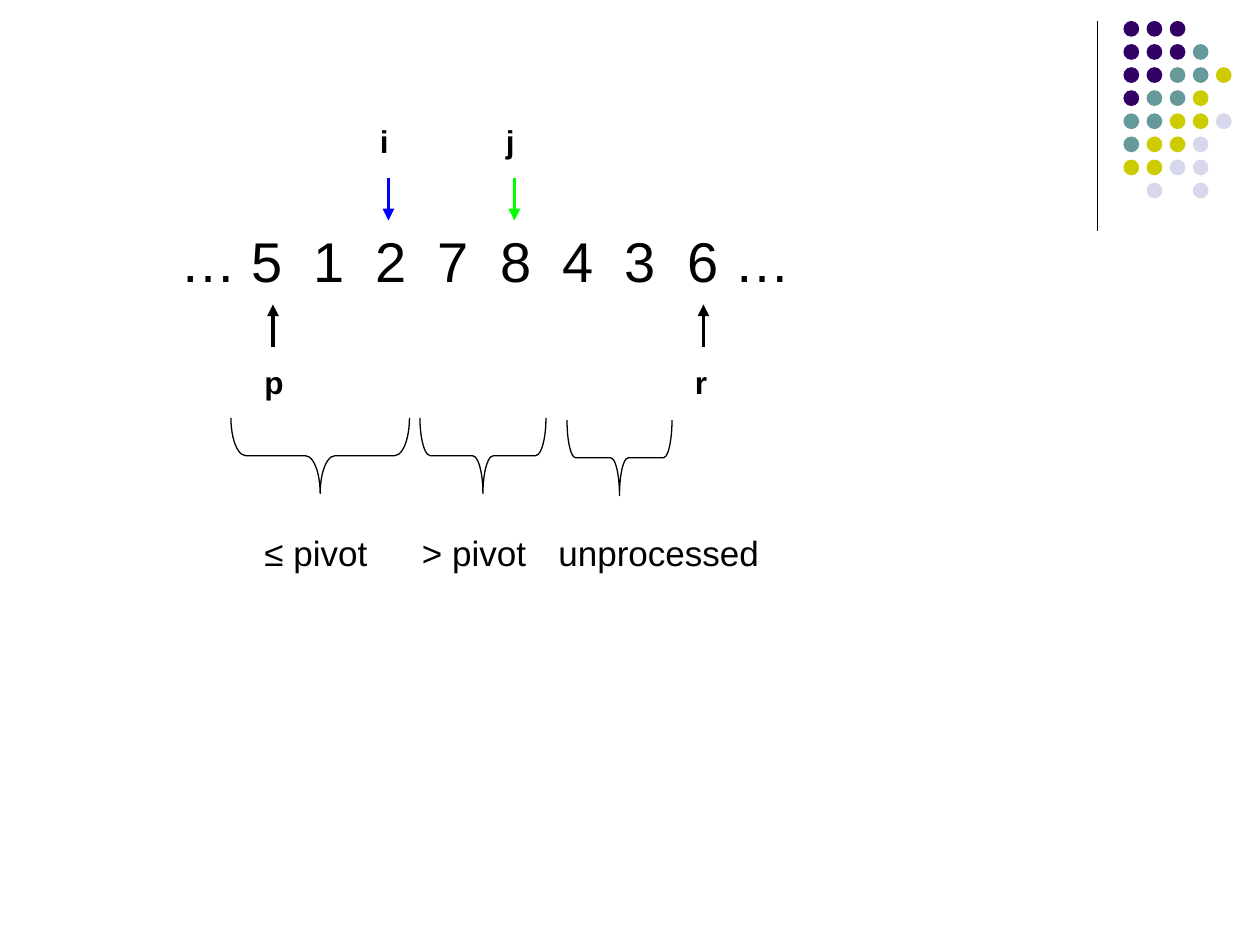
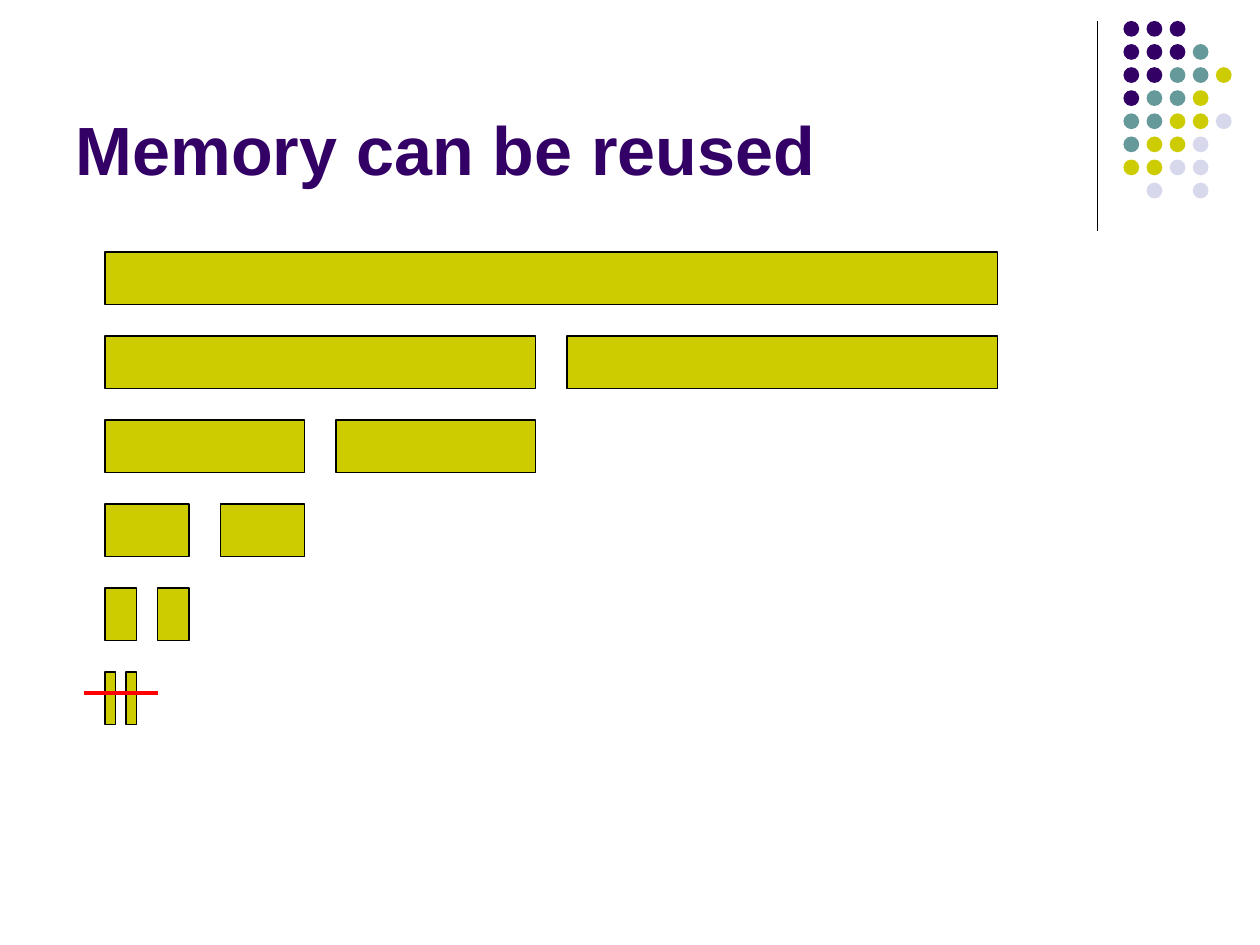
from dataclasses import dataclass

from lxml import etree
from pptx import Presentation
from pptx.dml.color import RGBColor
from pptx.enum import shapes, text
from pptx.oxml import ns
from pptx.util import Emu, Pt

PX = 7620


@dataclass(frozen=True)
class Theme:
    font: str = "Arial"
    black: str = "000000"
    purple: str = "330066"
    teal: str = "669999"
    olive: str = "CCCC00"
    lilac: str = "D8D8EC"
    blue: str = "0000FF"
    green: str = "00FF00"
    red: str = "FF0000"
    title_size: int = 39
    array_size: int = 32
    label_size: int = 20
    pointer_size: int = 18
    thin: float = 0.75
    thick: float = 2.25


def px(*lengths):
    return [Emu(length * PX) for length in lengths]


def apply(target, **formats):
    for name, value in formats.items():
        setattr(target, name, value)


class Sketch:
    def __init__(self, deck, theme):
        self.deck, self.theme, self.page = deck, theme, None

    def new_page(self, layout):
        self.page = self.deck.slides.add_slide(self.deck.slide_layouts[layout])

    def style_text(self, span, size, color, bold):
        apply(span.font, name=self.theme.font, size=Pt(size), bold=bold)
        span.font.color.rgb = RGBColor.from_string(color)

    def title(self, words, left, top, width, height):
        box = self.page.shapes.title
        left, top, width, height = px(left, top, width, height)
        apply(box, left=left, top=top, width=width, height=height)
        apply(box.text_frame, vertical_anchor=text.MSO_ANCHOR.BOTTOM,
              auto_size=text.MSO_AUTO_SIZE.NONE, word_wrap=True)
        para = box.text_frame.paragraphs[0]
        para.alignment = text.PP_ALIGN.LEFT
        span = para.add_run()
        span.text = words
        self.style_text(span, self.theme.title_size, self.theme.purple, True)

    def label(self, words, left, top, width, height, size, bold=False, tabs=()):
        box = self.page.shapes.add_textbox(*px(left, top, width, height))
        apply(box.text_frame, word_wrap=True,
              auto_size=text.MSO_AUTO_SIZE.SHAPE_TO_FIT_TEXT)
        para = box.text_frame.paragraphs[0]
        if tabs:
            properties = para._p.get_or_add_pPr()
            stops = etree.SubElement(properties, ns.qn("a:tabLst"))
            for stop in tabs:
                etree.SubElement(stops, ns.qn("a:tab"), pos=str(stop * PX), algn="l")
        span = para.add_run()
        span.text = words
        self.style_text(span, size, self.theme.black, bold)

    def shape(self, kind, left, top, width, height, fill=None, line=None):
        shape = self.page.shapes.add_shape(kind, *px(left, top, width, height))
        shape.shadow.inherit = False
        if fill:
            shape.fill.solid()
            shape.fill.fore_color.rgb = RGBColor.from_string(fill)
        else:
            shape.fill.background()
        if line:
            shape.line.color.rgb = RGBColor.from_string(line)
            shape.line.width = Pt(self.theme.thin)
        else:
            shape.line.fill.background()
        return shape

    def line(self, start, end, color, weight, arrow=False):
        line = self.page.shapes.add_connector(
            shapes.MSO_CONNECTOR.STRAIGHT, *px(*start, *end))
        line.line.color.rgb = RGBColor.from_string(color)
        line.line.width = Pt(weight)
        properties = line.element.spPr
        if arrow:
            outline = properties.find(ns.qn("a:ln"))
            etree.SubElement(outline, ns.qn("a:tailEnd"), type="triangle")
        etree.SubElement(properties, ns.qn("a:effectLst"))
        return line

    def brace(self, left, top, length, depth=72):
        middle, center = left + length // 2, top + depth // 2
        brace = self.shape(shapes.MSO_SHAPE.LEFT_BRACE, middle - depth // 2,
                           center - length // 2, depth, length, line=self.theme.black)
        brace.rotation = 270
        brace.adjustments[0] = length / 12 / depth

    def pointer(self, name, x, label_top, start, end, color):
        self.line((x, start), (x, end), color, self.theme.thick, arrow=True)
        self.label(name, x - 20, label_top, 50, 48, self.theme.pointer_size, bold=True)

    def decorate_master(self):
        theme = self.theme
        colors = {"P": theme.purple, "T": theme.teal, "O": theme.olive, "L": theme.lilac}
        rows = ("PPP", "PPPT", "PPTTO", "PTTO", "TTOOL", "TOOL", "OOLL", " L L")
        decorations = [self.line((1045, 20), (1045, 220), theme.black, theme.thin)]
        for row, codes in enumerate(rows):
            for column, code in enumerate(codes):
                if code in colors:
                    decorations.append(self.shape(
                        shapes.MSO_SHAPE.OVAL, 1070 + 22 * column, 20 + 22 * row,
                        15, 15, fill=colors[code]))
        tree = self.deck.slide_master.shapes.element
        for number, decoration in enumerate(decorations, 100):
            decoration.element.xpath(".//p:cNvPr")[0].set("id", str(number))
            tree.append(decoration.element)


def partition_page(sketch):
    theme = sketch.theme
    sketch.pointer("i", 370, 110, 170, 210, theme.blue)
    sketch.pointer("j", 490, 110, 170, 210, theme.green)
    sketch.label("… 5\t1\t2\t7\t8\t4\t3\t6 …", 160, 210, 620, 77, theme.array_size,
                 tabs=[68 + 593 * step // 10 for step in range(1, 8)])
    for name, x in (("p", 260), ("r", 670)):
        sketch.pointer(name, x, 340, 330, 290, theme.black)
    for left, top, length in ((220, 398, 170), (400, 398, 120), (540, 400, 100)):
        sketch.brace(left, top, length)
    for words, left, width in (("≤ pivot", 240, 140), ("> pivot", 390, 140),
                               ("unprocessed", 520, 240)):
        sketch.label(words, left, 500, width, 53, theme.label_size)


def memory_page(sketch):
    theme = sketch.theme
    sketch.title("Memory can be reused", 60, 16, 990, 170)
    left, top, width, height = 100, 240, 850, 50

    def block(x, y):
        sketch.shape(shapes.MSO_SHAPE.RECTANGLE, x, y, width, height,
                     fill=theme.olive, line=theme.black)

    block(left, top)
    for gap in (30, 30, 30, 20, 10):
        top += 80
        width = (width - gap) // 2
        block(left, top)
        block(left + width + gap, top)
    sketch.line((80, top + 20), (150, top + 20), theme.red, theme.thick)


def main():
    deck = Presentation()
    deck.slide_width, deck.slide_height = px(1200, 900)
    sketch = Sketch(deck, Theme())
    sketch.new_page(6)
    sketch.decorate_master()
    partition_page(sketch)
    sketch.new_page(5)
    memory_page(sketch)
    deck.save("out.pptx")


if __name__ == "__main__":
    main()
